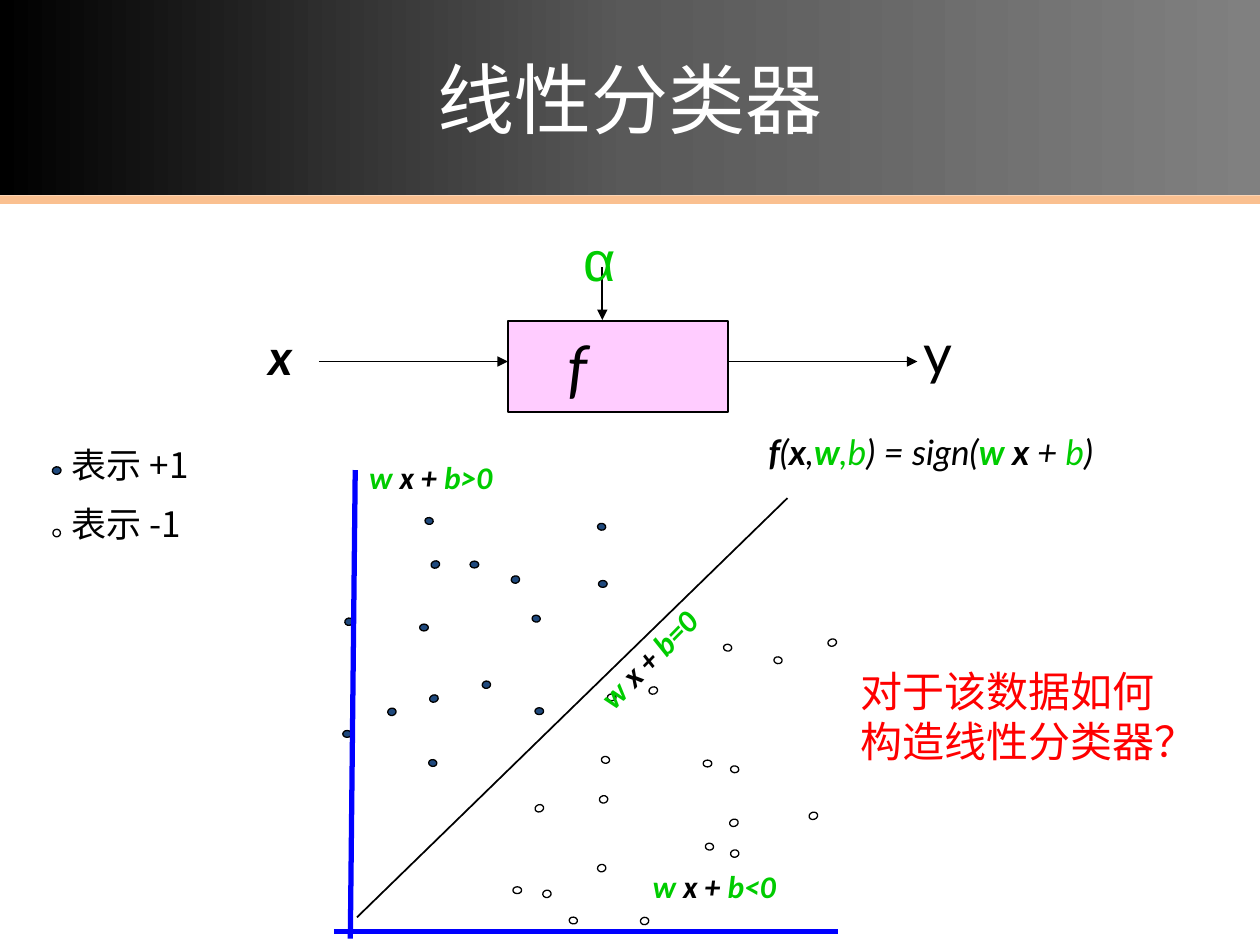
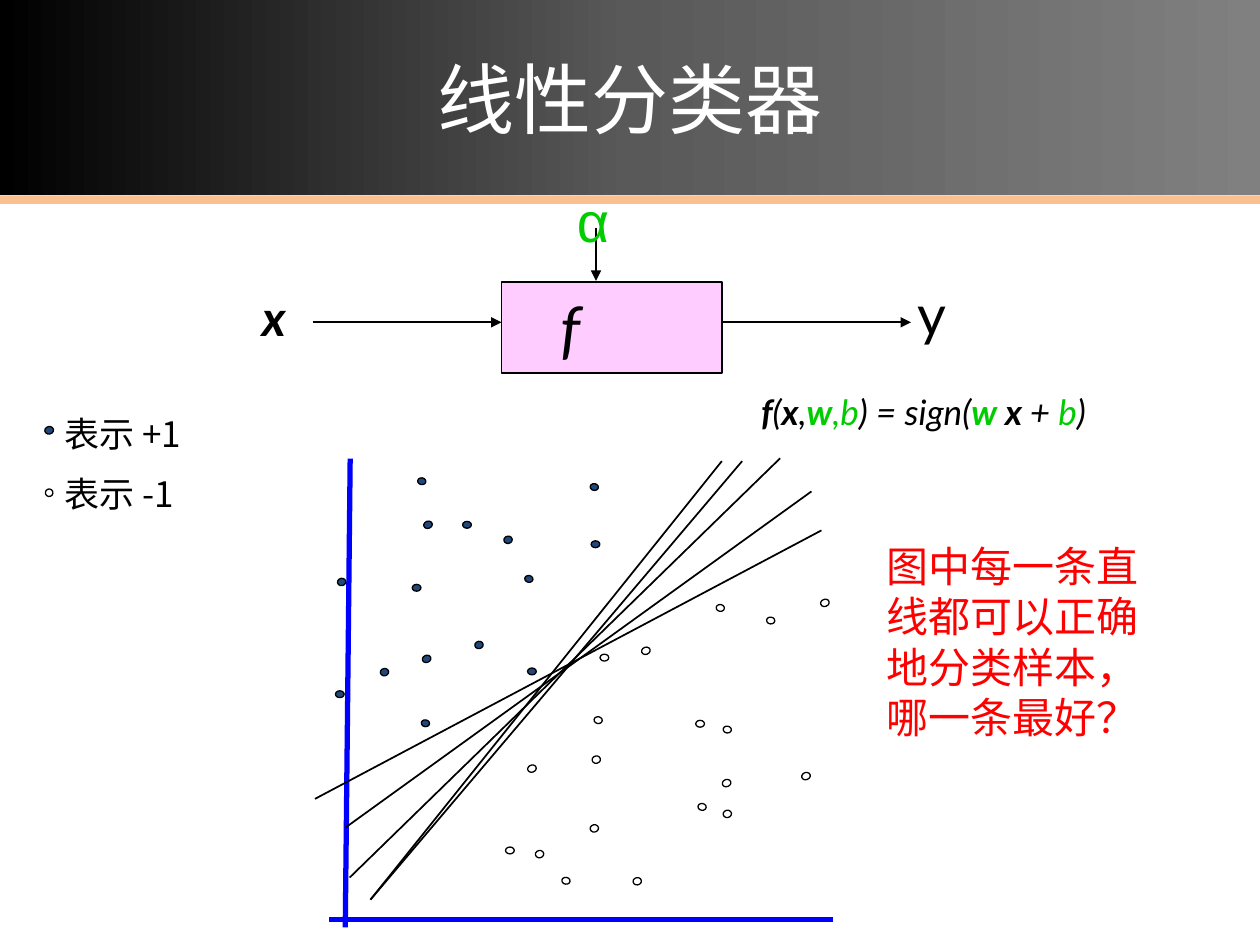
from copy import deepcopy

from lxml import etree
from pptx import Presentation
from pptx.dml.color import RGBColor
from pptx.enum.shapes import MSO_CONNECTOR, MSO_SHAPE
from pptx.enum.text import MSO_ANCHOR, PP_ALIGN
from pptx.oxml.ns import qn
from pptx.util import Pt

RECT, OVAL = MSO_SHAPE.RECTANGLE, MSO_SHAPE.OVAL
LINE = MSO_CONNECTOR.STRAIGHT
CENTER = PP_ALIGN.CENTER
TOP, MIDDLE = MSO_ANCHOR.TOP, MSO_ANCHOR.MIDDLE
HEX = {"black": "000000", "grey": "595959", "silver": "808080", "white": "FFFFFF",
       "peach": "FAC090", "pink": "FFCCFF", "green": "00CC00", "navy": "1F497D",
       "blue": "0000FF", "red": "FF0000"}
HAN, LATO, BODY = "Noto Sans CJK SC", "Lato", "Calibri"
WIDE, HIGH, HEAD = 720, 540, 111.6

# (turn, width, height): centres of the +1 class, centres of the -1 class
DOTS = {
    (0, 5, 3.9): (
        [(18.4, 167.4), (164.5, 81.7), (91.1, 70.6), (128.2, 154.4), (62.3, 106.6)],
        [(115.6, 256.7), (169.6, 146.5), (224.3, 184.3)]),
    (341.4, 5, 4.1): (
        [(68.8, 70.6), (68, 147.2)],
        [(128.2, 209.9), (295.6, 115.2), (239.4, 218.2), (193.3, 142.6),
         (284.8, 214.2)]),
    (98.3, 3.9, 4.7): (
        [(126.4, 101.5), (67.3, 184), (163.8, 49), (65.2, 45.7)],
        [(147.6, 274), (239.8, 187.6), (166, 182.2), (264.6, 125.3),
         (235.8, 118.1), (225.4, 231.8)]),
    (79.6, 4.2, 4.8): (
        [(97.9, 139.3), (43.9, 154.8), (114.5, 79.2), (19.4, 103.3)],
        [(188.3, 274.3), (163.8, 244.1), (164.9, 204.8), (132.5, 258.8),
         (239.8, 235.8)]),
}
MAIN = (24, 272.2, 270, 32.6)
FAN = [MAIN, (21.5, 243.7, 287.9, 51.5), (35.9, 284.8, 248.3, 34.2),
       (35.9, 284.8, 236.7, 34.2), (4.2, 227.2, 293.6, 73.8)]
RULE = [("f", "black", True), ("(", "black", False), ("x", "black", True),
        (",", "black", False), ("w", "green", True), (",b", "green", False),
        (") = sign(", "black", False), ("w", "green", True), (" x ", "black", True),
        ("+ ", "black", False), ("b", "green", False), (")", "black", False)]
SIDES = [("b=0", 131.8, 74.2, 314.4), ("b<0", 185.8, 242.6, 0), ("b>0", 23.8, 8.6, 0)]


def tint(name):
    """Return the named colour."""
    return RGBColor.from_string(HEX[name])


def style(para, size, face, color=None, bold=None, italic=None):
    """Set the font of a whole paragraph."""
    font = para.font
    font.size, font.name, font.bold, font.italic = Pt(size), face, bold, italic
    if color:
        font.color.rgb = tint(color)
    if face == HAN:
        etree.SubElement(font._element, qn("a:ea"), typeface=face)


def shape(slide, kind, x, y, w, h, fill, edge=None, width=1):
    """Add a plain filled shape."""
    item = slide.shapes.add_shape(kind, Pt(x), Pt(y), Pt(w), Pt(h))
    item.shadow.inherit = False
    item.fill.solid()
    item.fill.fore_color.rgb = tint(fill)
    if edge:
        item.line.color.rgb = tint(edge)
        item.line.width = Pt(width)
    else:
        item.line.fill.background()
    return item


def stroke(slide, x, y, ends, color="black", width=1, arrow=False):
    """Add a straight line whose ends are relative to x, y."""
    x1, y1, x2, y2 = ends
    item = slide.shapes.add_connector(LINE, Pt(x + x1), Pt(y + y1), Pt(x + x2), Pt(y + y2))
    item.line.color.rgb = tint(color)
    item.line.width = Pt(width)
    if arrow:
        etree.SubElement(item.line._get_or_add_ln(), qn("a:tailEnd"), type="triangle")
    etree.SubElement(item._element.spPr, qn("a:effectLst"))


def label(slide, x, y, w, h, anchor=TOP):
    """Add an empty wrapping text box and return it."""
    item = slide.shapes.add_textbox(Pt(x), Pt(y), Pt(w), Pt(h))
    item.text_frame.word_wrap = True
    item.text_frame.vertical_anchor = anchor
    return item


def say(slide, x, y, w, h, text, *look):
    """Add a text box with one even paragraph."""
    para = label(slide, x, y, w, h).text_frame.paragraphs[0]
    para.text = text
    style(para, *look)


def mix(para, runs):
    """Add runs of text, colour and weight."""
    for text, color, bold in runs:
        run = para.add_run()
        run.text = text
        run.font.color.rgb = tint(color)
        run.font.bold = bold


def han(slide, x, y, w, h, lines, size, color):
    """Add Chinese lines with an even pitch."""
    frame = label(slide, x, y, w, h).text_frame
    frame.margin_top = Pt(5.6)
    for i, text in enumerate(lines):
        para = frame.add_paragraph() if i else frame.paragraphs[0]
        para.text = text
        para.line_spacing = Pt(1.2 * size)
        para.space_before = Pt(size / 2 if i else 0)
        style(para, size, HAN, color)


def dot(slide, x, y, look, fill):
    """Add a sample dot centred on x, y."""
    turn, w, h = look
    item = shape(slide, OVAL, x - w / 2, y - h / 2, w, h, fill, "black", 0.75)
    item.rotation = turn


def start(deck, text):
    """Add a slide with its title and band."""
    slide = deck.slides.add_slide(deck.slide_layouts[5])
    shape(slide, RECT, 0, HEAD, WIDE, 5, "peach")
    title = slide.shapes.title
    title.left, title.top, title.width, title.height = 0, 0, Pt(WIDE), Pt(HEAD)
    fill = title.fill
    fill.gradient()
    fill.gradient_angle = 0
    stops = title._element.spPr.find(".//" + qn("a:gsLst"))
    stops.insert(1, deepcopy(stops[0]))
    for i, (stop, name) in enumerate(zip(fill.gradient_stops, ("black", "grey", "silver"))):
        stop.position = i / 2
        stop.color.rgb = tint(name)
    title.text_frame.vertical_anchor = MIDDLE
    para = title.text_frame.paragraphs[0]
    para.text = text
    para.alignment = CENTER
    style(para, 44, HAN, "white")
    return slide


def flow(slide, x, y):
    """Draw the machine f with its inputs and output."""
    box = shape(slide, RECT, x + 144, y + 61.2, 126, 51.8, "pink", "black")
    frame = box.text_frame
    frame.vertical_anchor = MIDDLE
    frame.margin_right = Pt(54)
    para = frame.paragraphs[0]
    para.text = "f"
    para.alignment = CENTER
    style(para, 36, LATO, "black", False, True)
    for ends in ((36, 84.2, 144, 84.2), (198, 30.2, 198, 60.5), (270, 84.2, 378, 84.2)):
        stroke(slide, x, y, ends, arrow=True)
    say(slide, x, y + 60.5, 48, 41, "x", 28, LATO, "black", True, True)
    say(slide, x + 180, y + 3, 30, 45.4, "α", 32, "Arial", "green")
    say(slide, x + 374.4, y + 56.2, 66, 45.4, "y", 32, LATO, "black")


def key(slide, x, y, lift):
    """Draw the legend, its first dot at x, y."""
    han(slide, x + 1.5, y - lift, 150, 67, ["表示 +1", "表示 -1"], 20, "black")
    dot(slide, x, y, (79.6, 4.3, 5), "navy")
    dot(slide, x, y + 35.7, (98.3, 4.3, 4.3), "white")


def field(slide, x, y, cuts):
    """Draw the samples, the rule and the lines that part them."""
    for look, (plus, minus) in DOTS.items():
        for fill, spots in (("navy", plus), ("white", minus)):
            for dx, dy in spots:
                dot(slide, x + dx, y + dy, look, fill)
    para = label(slide, x + 252, y - 9.5, 252, 31).text_frame.paragraphs[0]
    style(para, 20, LATO, italic=True)
    mix(para, RULE)
    for ends in cuts:
        stroke(slide, x, y, ends)


def sides(slide, x, y):
    """Name the line and the half planes beside it."""
    for tail, dx, dy, turn in SIDES:
        item = label(slide, x + dx, y + dy, 192.2, 23.8, MIDDLE)
        item.rotation = turn
        para = item.text_frame.paragraphs[0]
        style(para, 18, BODY, bold=True, italic=True)
        mix(para, [("w", "green", True), (" x + ", "black", True), (tail, "green", True)])


def axes(slide, x, y):
    """Draw both axes."""
    for ends in ((12.2, 0, 9.4, 267.8), (0, 263.5, 288, 263.5)):
        stroke(slide, x, y, ends, "blue", 3)


def main():
    """Build and save the deck."""
    deck = Presentation()
    deck.slide_width, deck.slide_height = Pt(WIDE), Pt(HIGH)

    slide = start(deck, "线性分类器")
    flow(slide, 146.2, 122.4)
    key(slide, 32.4, 268.9, 21.2)
    field(slide, 180, 252, [MAIN])
    han(slide, 484.6, 374.4, 193, 65.5, ["对于该数据如何构造线性分类器？"], 24, "red")
    sides(slide, 180, 252)
    axes(slide, 190.8, 268.6)

    slide = start(deck, "线性分类器")
    flow(slide, 142.6, 100)
    key(slide, 28.1, 245.9, 15.5)
    axes(slide, 187.9, 262.1)
    field(slide, 175.8, 229.3, FAN)
    han(slide, 499.7, 303.1, 174.2, 123.8,
        ["图中每一条直线都可以正确地分类样本，哪一条最好？"], 24, "red")

    deck.save("out.pptx")


if __name__ == "__main__":
    main()
